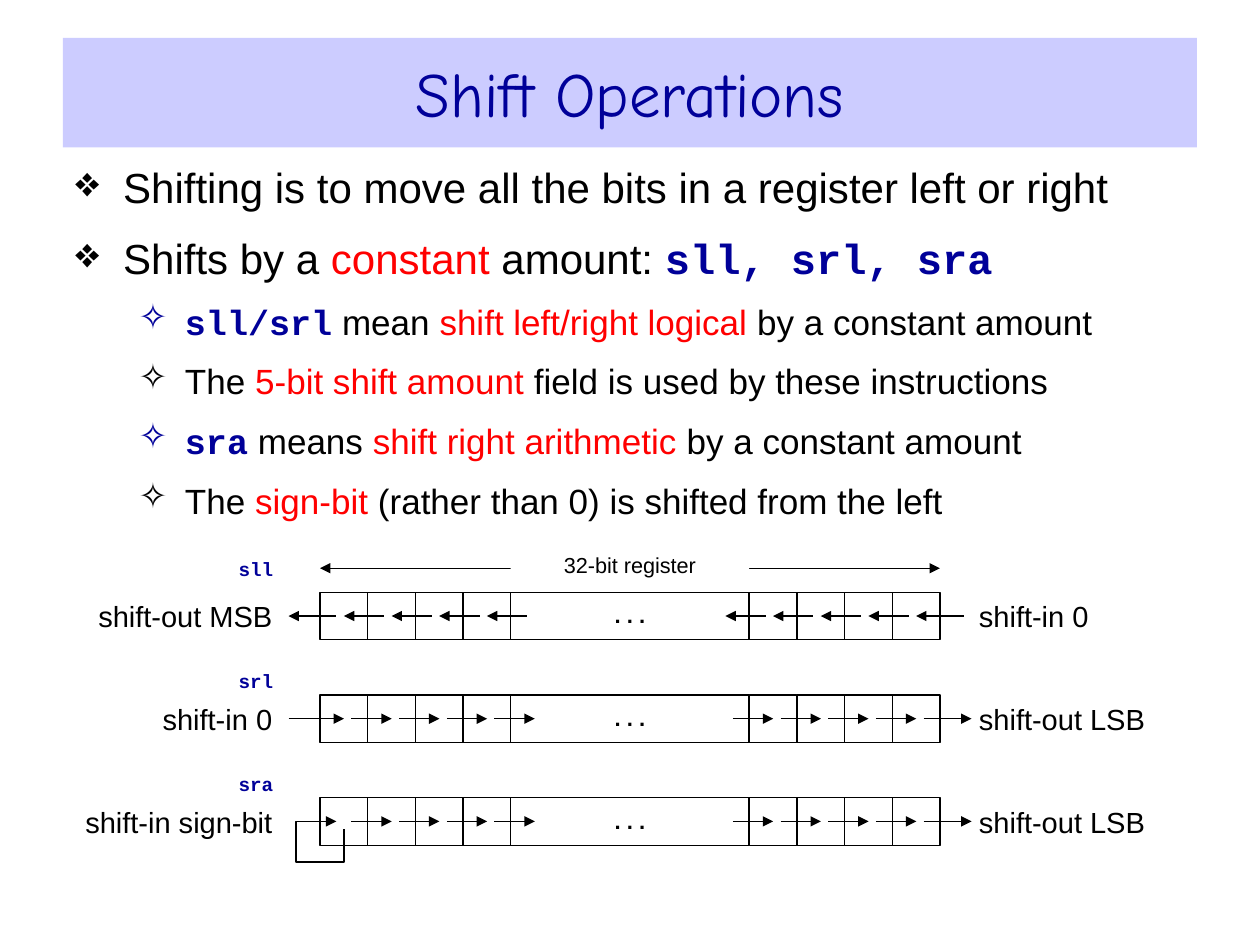
from lxml import etree
from pptx import Presentation
from pptx.dml.color import RGBColor
from pptx.enum.shapes import MSO_CONNECTOR, MSO_SHAPE
from pptx.enum.text import MSO_ANCHOR, PP_ALIGN
from pptx.oxml.ns import qn
from pptx.util import Inches, Pt

STRAIGHT = MSO_CONNECTOR.STRAIGHT
RECTANGLE = MSO_SHAPE.RECTANGLE
MIDDLE = MSO_ANCHOR.MIDDLE
LEFT, CENTER, RIGHT = PP_ALIGN.LEFT, PP_ALIGN.CENTER, PP_ALIGN.RIGHT

COLORS = {"black": "000000", "navy": "000099", "red": "FF0000",
          "lavender": "CCCCFF", "white": "FFFFFF"}

# Content
TITLE = "Shift Operations"
STYLES = {  # font, colour, bold
    "plain": ("Arial", "black", False),
    "key": ("Arial", "red", False),
    "code": ("Courier New", "navy", True),
}
BULLETS = [  # level, runs of (text, style)
    (0, [("Shifting is to move all the bits in a register left or right", "plain")]),
    (0, [("Shifts by a ", "plain"), ("constant", "key"), (" amount: ", "plain"),
         ("sll, srl, sra", "code")]),
    (1, [("sll/srl", "code"), (" mean ", "plain"), ("shift left/right logical", "key"),
         (" by a constant amount", "plain")]),
    (1, [("The ", "plain"), ("5-bit shift amount", "key"),
         (" field is used by these instructions", "plain")]),
    (1, [("sra", "code"), (" means ", "plain"), ("shift right arithmetic", "key"),
         (" by a constant amount", "plain")]),
    (1, [("The ", "plain"), ("sign-bit ", "key"),
         ("(rather than 0) is shifted from the left", "plain")]),
]
LEVELS = [  # bullet, size, space before, left margin, hanging indent
    ("❖", 24, 12, 0.38, 0.38),
    ("✧", 20, 10, 0.87, 0.37),
]
REGISTERS = [  # code, gap above row, (left label, width), (right label, width), arrow end
    ("sll", 0.32, ("shift-out MSB", 1.57), ("shift-in 0", 1.07), "headEnd"),
    ("srl", 0.25, ("shift-in 0", 1.2), ("shift-out LSB", 1.64), "tailEnd"),
    ("sra", 0.25, ("shift-in sign-bit", 1.7), ("shift-out LSB", 1.64), "tailEnd"),
]

# Register geometry
REGISTER_LEFT, REGISTER_WIDTH = 2.54, 4.92
CELL = REGISTER_WIDTH / 13
BIT_SLOTS = [0, 1, 2, 3, 9, 10, 11, 12]
ARROW_SLOTS = [0, 1, 2, 3, 8, 9, 10, 11]
ROW_TOP, ROW_PITCH = 4.7, 0.815
LABEL_RIGHT, LABEL_LEFT = 2.16, 7.77
WIDE_LEFT, WIDE_WIDTH = REGISTER_LEFT + 4 * CELL, 5 * CELL


def rgb(name):
    return RGBColor.from_string(COLORS[name])


def format_run(run, size, font, color, bold=False):
    run.font.size = Pt(size)
    run.font.name = font
    run.font.bold = bold
    run.font.color.rgb = rgb(color)


def write(shape, text, size, font="Arial", color="black", align=CENTER, bold=False,
          side_inset=0.0):
    frame = shape.text_frame
    frame.text = text
    frame.word_wrap = True
    frame.vertical_anchor = MIDDLE
    frame.margin_left = frame.margin_right = Inches(side_inset)
    paragraph = frame.paragraphs[0]
    paragraph.alignment = align
    format_run(paragraph.runs[0], size, font, color, bold)
    return paragraph


def add_box(shapes, left, top, width, height, fill=None, line=None):
    shape = shapes.add_shape(RECTANGLE, Inches(left), Inches(top),
                             Inches(width), Inches(height))
    shape.shadow.inherit = False
    if fill:
        shape.fill.solid()
        shape.fill.fore_color.rgb = rgb(fill)
    else:
        shape.fill.background()
    if line:
        shape.line.color.rgb = rgb(line)
        shape.line.width = Pt(0.75)
    else:
        shape.line.fill.background()
    return shape


def add_label(shapes, text, left, top, width, height, size, **style):
    box = shapes.add_textbox(Inches(left), Inches(top), Inches(width), Inches(height))
    return write(box, text, size, **style)


def style_line(shape, ends):
    shape.line.color.rgb = rgb("black")
    shape.line.width = Pt(0.75)
    line = shape.line._get_or_add_ln()
    for end in ends:
        etree.SubElement(line, qn("a:" + end), type="triangle")


def add_arrow(shapes, start, end, y, ends):
    arrow = shapes.add_connector(STRAIGHT, Inches(start), Inches(y), Inches(end), Inches(y))
    style_line(arrow, ends)
    etree.SubElement(arrow._element.spPr, qn("a:effectLst"))


def add_bullets(slide):
    box = slide.shapes.add_textbox(Inches(0.5), Inches(1.23), Inches(9), Inches(3))
    frame = box.text_frame
    frame.word_wrap = True
    for index, (level, runs) in enumerate(BULLETS):
        bullet, size, space, margin, hanging = LEVELS[level]
        paragraph = frame.add_paragraph() if index else frame.paragraphs[0]
        paragraph.level = level
        if index:
            paragraph.space_before = Pt(space)
        properties = paragraph._p.get_or_add_pPr()
        properties.set("marL", str(Inches(margin)))
        properties.set("indent", str(-Inches(hanging)))
        first_style = runs[0][1] if level else "plain"
        bullet_color = etree.SubElement(properties, qn("a:buClr"))
        etree.SubElement(bullet_color, qn("a:srgbClr"), val=COLORS[STYLES[first_style][1]])
        etree.SubElement(properties, qn("a:buChar"), char=bullet)
        for text, style in runs:
            run = paragraph.add_run()
            run.text = text
            format_run(run, size, *STYLES[style])


def add_register(slide, index, code, gap, left_label, right_label, end):
    shapes = slide.shapes.add_group_shape().shapes
    top = ROW_TOP + index * ROW_PITCH
    middle = top + CELL / 2

    # Bit cells and the wide middle part
    for slot in BIT_SLOTS:
        add_box(shapes, REGISTER_LEFT + slot * CELL, top, CELL, CELL, line="black")
    wide = add_box(shapes, WIDE_LEFT, top, WIDE_WIDTH, CELL, line="black")
    dots = write(wide, ". . .", 21.7, bold=True)
    dots.runs[0]._r.get_or_add_rPr().set("baseline", "20000")

    # Shift arrows
    offset = 0 if end == "headEnd" else 0.06
    first = REGISTER_LEFT + CELL / 2 + offset
    spans = [(first + slot * CELL, 0.32) for slot in ARROW_SLOTS]
    spans.append((first + 12 * CELL, 0.38))
    if code != "sra":
        spans.append((2.29, 0.38 + offset))
    for start, length in spans:
        add_arrow(shapes, start, start + length, middle, [end])

    # Labels
    text, width = left_label
    add_label(shapes, text, LABEL_RIGHT - width, top, width, 0.38, 16.6, align=RIGHT)
    text, width = right_label
    add_label(shapes, text, LABEL_LEFT, top, width, 0.38, 16.6, align=LEFT)
    name = add_label(shapes, code, 1.41, top - gap, 0.76, 0.31, 11, font="Courier New",
                     color="navy", align=RIGHT, bold=True)
    name.line_spacing = 0.8

    if code == "sll":  # register width marker
        add_arrow(shapes, REGISTER_LEFT, REGISTER_LEFT + REGISTER_WIDTH, 4.51,
                  ["headEnd", "tailEnd"])
        caption = add_box(shapes, WIDE_LEFT, 4.32, WIDE_WIDTH, 0.32, fill="white")
        write(caption, "32-bit register", 12.4)
    if code == "sra":  # sign bit fed back into the first cell
        points = [(2.73, 6.84), (2.35, 6.84), (2.35, middle), (2.67, middle)]
        builder = shapes.build_freeform(Inches(2.73), Inches(6.58))
        builder.add_line_segments([(Inches(x), Inches(y)) for x, y in points], close=False)
        loop = builder.convert_to_shape()
        loop.shadow.inherit = False
        loop.fill.background()
        style_line(loop, [end])


def main():
    presentation = Presentation()
    presentation.slide_width = Inches(10)
    presentation.slide_height = Inches(7.5)
    slide = presentation.slides.add_slide(presentation.slide_layouts[6])

    banner = add_box(slide.shapes, 0.5, 0.3, 9, 0.87, fill="lavender")
    write(banner, TITLE, 36, font="Comic Neue", color="navy", side_inset=0.1)
    add_bullets(slide)
    for index, register in enumerate(REGISTERS):
        add_register(slide, index, *register)

    presentation.save("out.pptx")


if __name__ == "__main__":
    main()
